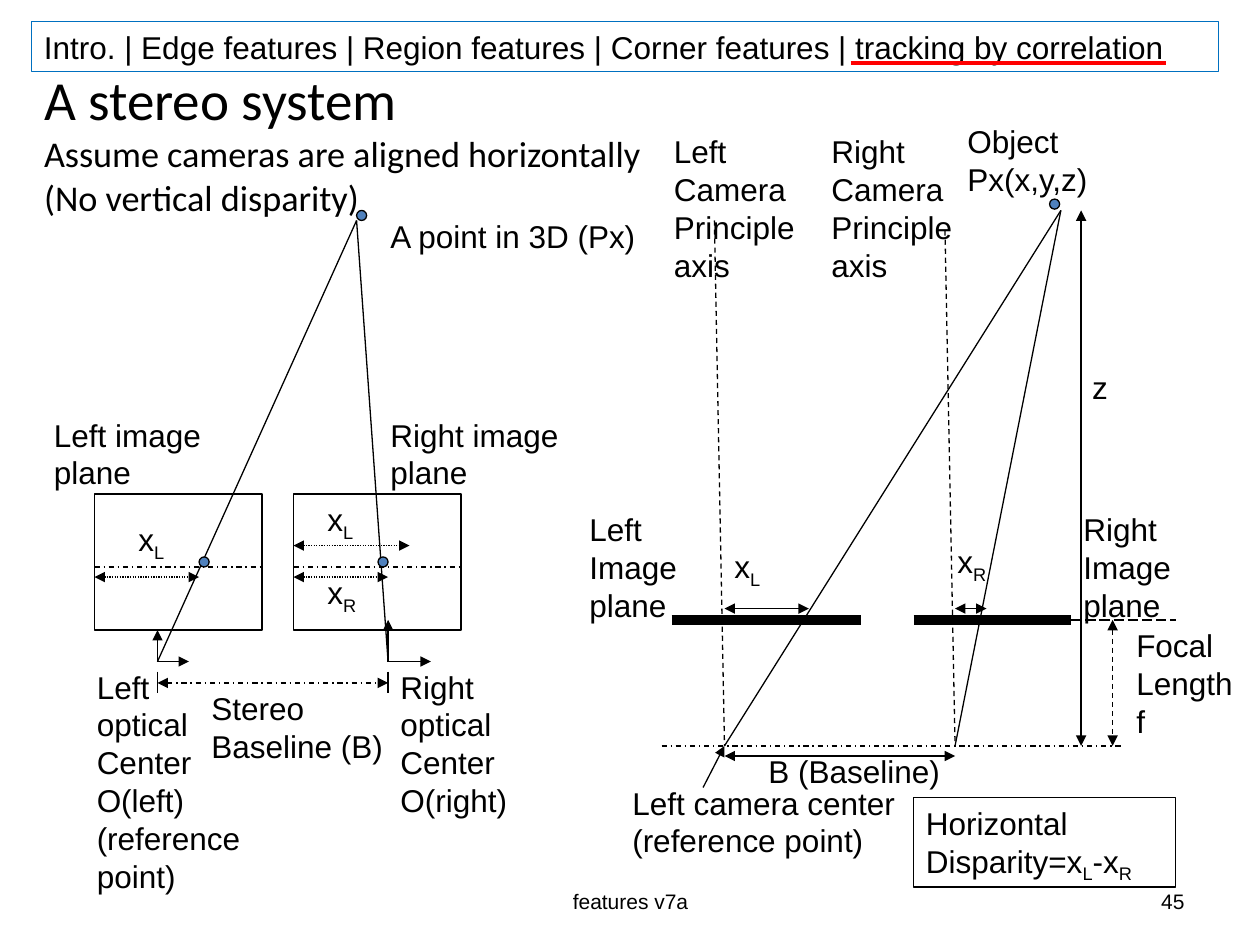
from lxml import etree
from pptx import Presentation
from pptx.dml.color import RGBColor
from pptx.enum.dml import MSO_LINE
from pptx.enum.shapes import MSO_CONNECTOR, MSO_SHAPE
from pptx.enum.text import MSO_ANCHOR, MSO_AUTO_SIZE, PP_ALIGN
from pptx.oxml.ns import qn
from pptx.util import Inches, Pt

BLACK = RGBColor(0x00, 0x00, 0x00)
RED = RGBColor(0xFF, 0x00, 0x00)
BLUE = RGBColor(0x4F, 0x81, 0xBD)
FRAME_BLUE = RGBColor(0x00, 0x70, 0xC0)
STRAIGHT = MSO_CONNECTOR.STRAIGHT
RECTANGLE, OVAL = MSO_SHAPE.RECTANGLE, MSO_SHAPE.OVAL
DASH, LONG_DASH = MSO_LINE.DASH, MSO_LINE.LONG_DASH
DASH_DOT, DOT = MSO_LINE.DASH_DOT, MSO_LINE.ROUND_DOT
LEFT, CENTER, RIGHT = PP_ALIGN.LEFT, PP_ALIGN.CENTER, PP_ALIGN.RIGHT
MIDDLE, TOP = MSO_ANCHOR.MIDDLE, MSO_ANCHOR.TOP

TITLE_LINES = [
    ("A stereo system", 31.5),
    ("Assume cameras are aligned horizontally", 20.7),
    ("(No vertical disparity)", 20.7),
]

# In all text, "_" puts the next letter in subscript.
# (left, top, width, height), outline, lines of text
BOXES = [
    ((0.25, 0.17, 9.42, 0.4), FRAME_BLUE,
     ["Intro. | Edge features | Region features | Corner features | tracking by correlation"]),
    ((0.75, 3.92, 1.33, 1.08), BLACK, []),
    ((2.33, 3.92, 1.33, 1.08), BLACK, []),
    ((7.25, 6.33, 2.08, 0.71), BLACK, ["Horizontal", "Disparity=x_L-x_R"]),
]

# (left, top, width, height), lines of text
LABELS = [
    ((3, 1.67, 2.16, 0.4), ["A point in 3D (Px)"]),
    ((3, 3.25, 1.6, 0.7), ["Right image", "plane"]),
    ((0.33, 3.25, 1.44, 0.7), ["Left image", "plane"]),
    ((0.67, 5.25, 1.34, 1.9),
     ["Left", "optical", "Center", "O(left)", "(reference", "point)"]),
    ((3.08, 5.25, 1.05, 1.3), ["Right", "optical", "Center", "O(right)"]),
    ((1.58, 5.42, 1.56, 0.7), ["Stereo", "Baseline (B)"]),
    ((1, 4.08, 0.42, 0.4), ["x_L"]),
    ((2.5, 3.92, 0.42, 0.4), ["x_L"]),
    ((2.5, 4.5, 0.67, 0.4), ["x_R"]),
    ((5.73, 4.29, 0.42, 0.4), ["x_L"]),
    ((7.5, 4.25, 0.45, 0.4), ["x_R"]),
    ((8.92, 4.92, 0.97, 1), ["Focal", "Length", "f"]),
    ((7.58, 0.92, 1.17, 0.7), ["Object", "Px(x,y,z)"]),
    ((8.57, 2.87, 0.33, 0.4), ["z"]),
    ((4.92, 6.17, 2.35, 0.7), ["Left camera center", "(reference point)"]),
    ((6, 5.92, 1.56, 0.4), ["B (Baseline)"]),
    ((5.25, 1, 1.16, 1.3), ["Left", "Camera", "Principle", "axis"]),
    ((6.5, 1, 1.16, 1.3), ["Right", "Camera", "Principle", "axis"]),
    ((4.58, 4, 0.97, 1), ["Left", "Image", "plane"]),
    ((8.5, 4, 0.97, 1), ["Right", "Image", "plane"]),
]

FOOTERS = [
    ((3.42, 6.95, 3.17, 0.4), "features v7a", CENTER),
    ((7.17, 6.95, 2.33, 0.4), "45", RIGHT),
]

DOT_SIZE = 0.08
DOTS = [(2.83, 1.67), (1.58, 4.42), (3, 4.42), (8.33, 1.58)]

# Points that several lines share
POINT_3D, OBJECT = (2.83, 1.75), (8.42, 1.67)
LEFT_ORIGIN, RIGHT_ORIGIN = (1.25, 5.25), (3.08, 5.25)
LEFT_CAMERA, RIGHT_CAMERA = (5.75, 5.92), (7.58, 5.92)

# Lines grouped by style: dash, arrow ends, line width, colour, (start, end) pairs
LINE_GROUPS = [
    (None, (), 0.75, BLACK, [
        (POINT_3D, LEFT_ORIGIN), (POINT_3D, RIGHT_ORIGIN),
        (OBJECT, LEFT_CAMERA), (OBJECT, RIGHT_CAMERA),
        ((1.25, 5.33), (1.25, 5.5)), ((3.08, 5.33), (3.08, 5.5))]),
    (None, ("tailEnd",), 0.75, BLACK, [
        (LEFT_ORIGIN, (1.25, 5)), (LEFT_ORIGIN, (1.5, 5.25)),
        (RIGHT_ORIGIN, (3.08, 4.92)), (RIGHT_ORIGIN, (3.42, 5.25)),
        ((5.58, 6.25), LEFT_CAMERA)]),
    (None, ("headEnd", "tailEnd"), 0.75, BLACK, [
        ((5.75, 4.83), (6.42, 4.83)), ((7.58, 4.83), (7.83, 4.83)),
        ((8.58, 1.67), (8.58, 5.92)), ((5.75, 6), (7.58, 6))]),
    (DASH_DOT, (), 0.75, BLACK, [
        ((0.75, 4.5), (2.08, 4.5)), ((2.33, 4.5), (3.67, 4.5)),
        ((5.25, 5.92), (8.92, 5.92))]),
    (DASH_DOT, ("headEnd", "tailEnd"), 0.75, BLACK, [((1.25, 5.42), (3.08, 5.42))]),
    (DOT, ("headEnd", "tailEnd"), 0.75, BLACK, [
        ((0.75, 4.58), (1.58, 4.58)), ((2.33, 4.58), (3.08, 4.58)),
        ((2.33, 4.33), (3.25, 4.33))]),
    (DASH, (), 0.75, BLACK, [((5.67, 1.75), LEFT_CAMERA), ((7.5, 1.83), RIGHT_CAMERA)]),
    (DASH, ("headEnd", "tailEnd"), 0.75, BLACK, [((8.83, 4.92), (8.83, 5.92))]),
    (LONG_DASH, (), 0.75, BLACK, [((8.5, 4.92), (9.33, 4.92))]),
    (None, (), 6, BLACK, [((5.33, 4.92), (6.83, 4.92)), ((7.25, 4.92), (8.5, 4.92))]),
    (None, (), 2.5, RED, [((6.75, 0.5), (9.25, 0.5))]),
]


def inches(values):
    return [Inches(value) for value in values]


def write_lines(frame, lines, size=18, align=LEFT, anchor=TOP):
    """Write one paragraph per line, with subscripts after each "_"."""
    frame.vertical_anchor = anchor
    for index, line in enumerate(lines):
        paragraph = frame.paragraphs[0] if index == 0 else frame.add_paragraph()
        paragraph.alignment = align
        paragraph.font.name = "Arial"
        paragraph.font.size = Pt(size)
        paragraph.font.color.rgb = BLACK
        first, *rest = line.split("_")
        paragraph.add_run().text = first
        for part in rest:
            subscript = paragraph.add_run()
            subscript.text = part[0]
            subscript.font._element.set("baseline", "-25000")
            if part[1:]:
                paragraph.add_run().text = part[1:]


def add_outlined(slide, preset, bounds, outline, fill=None):
    shape = slide.shapes.add_shape(preset, *inches(bounds))
    shape.shadow.inherit = False
    shape.line.color.rgb = outline
    shape.line.width = Pt(0.75)
    if fill is None:
        shape.fill.background()
    else:
        shape.fill.solid()
        shape.fill.fore_color.rgb = fill
    return shape


def add_line(slide, start, end, dash, arrow_ends, width, color):
    connector = slide.shapes.add_connector(STRAIGHT, *inches(start + end))
    connector.line.color.rgb = color
    connector.line.width = Pt(width)
    if dash is not None:
        connector.line.dash_style = dash
    properties = connector._element.spPr
    outline = properties.find(qn("a:ln"))
    for arrow_end in arrow_ends:
        etree.SubElement(outline, qn("a:" + arrow_end), type="triangle")
    etree.SubElement(properties, qn("a:effectLst"))


def fill_title(title):
    title.left, title.top, title.width, title.height = inches((0.25, 0.5, 9, 1.25))
    frame = title.text_frame
    frame.auto_size = MSO_AUTO_SIZE.NONE
    frame.vertical_anchor = MIDDLE
    paragraph = frame.paragraphs[0]
    paragraph.alignment = LEFT
    for index, (text, size) in enumerate(TITLE_LINES):
        if index:
            paragraph.add_line_break()
        run = paragraph.add_run()
        run.text = text
        run.font.name = "Calibri"
        run.font.size = Pt(size)
        run.font.color.rgb = BLACK


def main():
    presentation = Presentation()
    presentation.slide_width, presentation.slide_height = Inches(10), Inches(7.5)
    slide = presentation.slides.add_slide(presentation.slide_layouts[5])
    fill_title(slide.shapes.title)

    for bounds, outline, lines in BOXES:
        box = add_outlined(slide, RECTANGLE, bounds, outline)
        write_lines(box.text_frame, lines)
    for dash, arrow_ends, width, color, segments in LINE_GROUPS:
        for start, end in segments:
            add_line(slide, start, end, dash, arrow_ends, width, color)
    for left, top in DOTS:
        add_outlined(slide, OVAL, (left, top, DOT_SIZE, DOT_SIZE), BLACK, BLUE)
    for bounds, lines in LABELS:
        label = slide.shapes.add_textbox(*inches(bounds))
        label.text_frame.word_wrap = False
        write_lines(label.text_frame, lines)
    for bounds, text, align in FOOTERS:
        footer = slide.shapes.add_textbox(*inches(bounds))
        footer.text_frame.word_wrap = True
        write_lines(footer.text_frame, [text], 12, align, MIDDLE)

    presentation.save("out.pptx")


if __name__ == "__main__":
    main()
